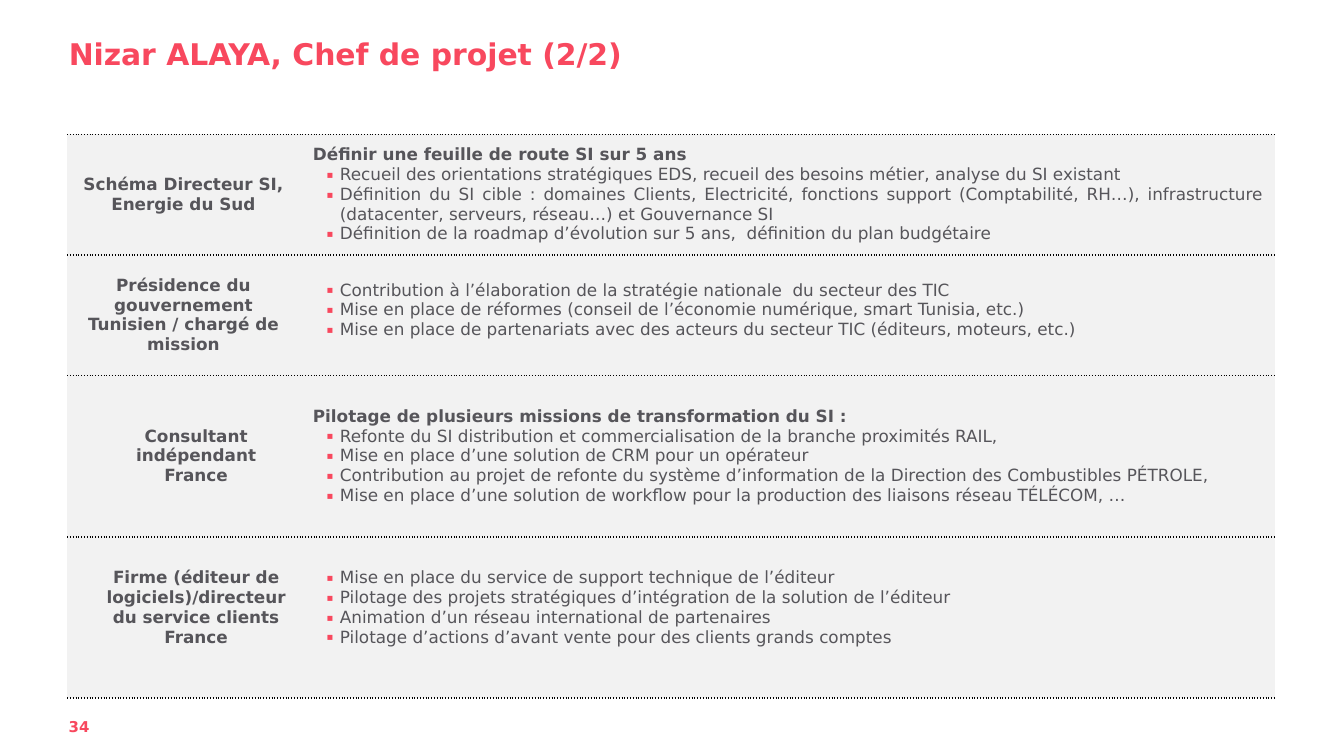
"""Build the project manager's reference slide with a four-row mission table."""
import pptx
import pptx.dml.color
import pptx.enum.text
import pptx.oxml
import pptx.oxml.ns
import pptx.util

Cm = pptx.util.Cm
Pt = pptx.util.Pt
ALIGN = pptx.enum.text.PP_ALIGN
ANCHOR = pptx.enum.text.MSO_ANCHOR
NAMESPACE = pptx.oxml.ns.nsdecls("a")
COLORS = {"accent": "F8485E", "text": "56555A", "cell": "F2F2F2", "border": "000000"}

missions = [
    {
        "height": 2.28,
        "label": ["Schéma Directeur SI, Energie du Sud"],
        "heading": "Définir une feuille de route SI sur 5 ans",
        "items": [
            "Recueil des orientations stratégiques EDS, recueil des besoins métier, analyse du SI existant",
            "Définition du SI cible : domaines Clients, Electricité, fonctions support (Comptabilité, RH…), "
            "infrastructure (datacenter, serveurs, réseau…) et Gouvernance SI",
            "Définition de la roadmap d’évolution sur 5 ans,  définition du plan budgétaire",
        ],
    },
    {
        "height": 2.28,
        "label": ["Présidence du gouvernement Tunisien / chargé de mission"],
        "items": [
            "Contribution à l’élaboration de la stratégie nationale  du secteur des TIC",
            "Mise en place de réformes (conseil de l’économie numérique, smart Tunisia, etc.)",
            "Mise en place de partenariats avec des acteurs du secteur TIC (éditeurs, moteurs, etc.)",
        ],
        "details_bottom": 0.32,
    },
    {
        "height": 3.05,
        "label": ["Consultant indépendant", "France"],
        "heading": "Pilotage de plusieurs missions de transformation du SI :",
        "items": [
            "Refonte du SI distribution et commercialisation de la branche proximités RAIL,",
            "Mise en place d’une solution de CRM pour un opérateur",
            "Contribution au projet de refonte du système d’information de la Direction des Combustibles PÉTROLE,",
            "Mise en place d’une solution de workflow pour la production des liaisons réseau TÉLÉCOM, …",
        ],
    },
    {
        "height": 3.05,
        "label": ["Firme (éditeur de logiciels)/directeur du service clients", "France"],
        "items": [
            "Mise en place du service de support technique de l’éditeur",
            "Pilotage des projets stratégiques d’intégration de la solution de l’éditeur",
            "Animation d’un réseau international de partenaires",
            "Pilotage d’actions d’avant vente pour des clients grands comptes",
        ],
        "label_bottom": 0.5,
        "details_bottom": 0.5,
    },
]


def style(paragraph, size, color, bold, align):
    paragraph.alignment = align
    for run in paragraph.runs:
        run.font.name = "DejaVu Sans"
        run.font.size = Pt(size)
        run.font.bold = bold
        run.font.color.rgb = pptx.dml.color.RGBColor.from_string(COLORS[color])


def format_cell(cell, bottom):
    properties = cell._tc.get_or_add_tcPr()
    for side in ("lnL", "lnR"):
        properties.append(pptx.oxml.parse_xml(f'<a:{side} {NAMESPACE} w="0"><a:noFill/></a:{side}>'))
    for side in ("lnT", "lnB"):
        properties.append(pptx.oxml.parse_xml(
            f'<a:{side} {NAMESPACE} w="{Pt(1)}"><a:solidFill><a:srgbClr val="{COLORS["border"]}"/>'
            f'</a:solidFill><a:prstDash val="sysDot"/></a:{side}>'))
    cell.fill.solid()
    cell.fill.fore_color.rgb = pptx.dml.color.RGBColor.from_string(COLORS["cell"])
    cell.vertical_anchor = ANCHOR.MIDDLE
    cell.margin_bottom = Cm(bottom)


presentation = pptx.Presentation()
presentation.slide_width = Cm(25.4)
presentation.slide_height = Cm(14.29)
slide = presentation.slides.add_slide(presentation.slide_layouts[5])

title = slide.shapes.title
title.left, title.top, title.width, title.height = Cm(1.3), Cm(0), Cm(22.8), Cm(1.35)
title.text_frame.text = "Nizar ALAYA, Chef de projet (2/2)"
title.text_frame.vertical_anchor = ANCHOR.BOTTOM
number = slide.shapes.add_textbox(Cm(1.3), Cm(13.44), Cm(1.8), Cm(0.84))
number.text_frame.text = "34"
for shape, size, top in ((title, 16, 0), (number, 8, 0.13)):
    frame = shape.text_frame
    frame.word_wrap = True
    frame.auto_size = pptx.enum.text.MSO_AUTO_SIZE.NONE
    frame.margin_left = frame.margin_right = frame.margin_bottom = Cm(0)
    frame.margin_top = Cm(top)
    style(frame.paragraphs[0], size, "accent", True, ALIGN.LEFT)

table = slide.shapes.add_table(len(missions), 2, Cm(1.27), Cm(2.54), Cm(22.83), Cm(10.66)).table
table.first_row = table.horz_banding = False
table.columns[0].width = Cm(4.39)
table.columns[1].width = Cm(18.44)

for row, mission in enumerate(missions):
    table.rows[row].height = Cm(mission["height"])
    label, details = table.cell(row, 0), table.cell(row, 1)
    format_cell(label, mission.get("label_bottom", 0.13))
    format_cell(details, mission.get("details_bottom", 0.13))

    label.text_frame.text = "\n".join(mission["label"])
    for paragraph in label.text_frame.paragraphs:
        if len(mission["label"]) > 1:
            paragraph._p.get_or_add_pPr().set("marL", str(Cm(0.48)))
        style(paragraph, 9, "text", True, ALIGN.CENTER)

    headings = [mission["heading"]] if "heading" in mission else []
    details.text_frame.text = "\n".join(headings + mission["items"])
    for index, paragraph in enumerate(details.text_frame.paragraphs):
        if index < len(headings):
            style(paragraph, 9, "text", True, ALIGN.LEFT)
            continue
        properties = paragraph._p.get_or_add_pPr()
        properties.set("marL", str(Cm(0.51)))
        properties.set("indent", str(Cm(-0.25)))
        for bullet in (f'<a:buClr {NAMESPACE}><a:srgbClr val="{COLORS["accent"]}"/></a:buClr>',
                       f'<a:buSzPct {NAMESPACE} val="60000"/>',
                       f'<a:buFont {NAMESPACE} typeface="DejaVu Sans"/>',
                       f'<a:buChar {NAMESPACE} char="▪"/>'):
            properties.append(pptx.oxml.parse_xml(bullet))
        style(paragraph, 9, "text", False, ALIGN.JUSTIFY)

presentation.save("out.pptx")
